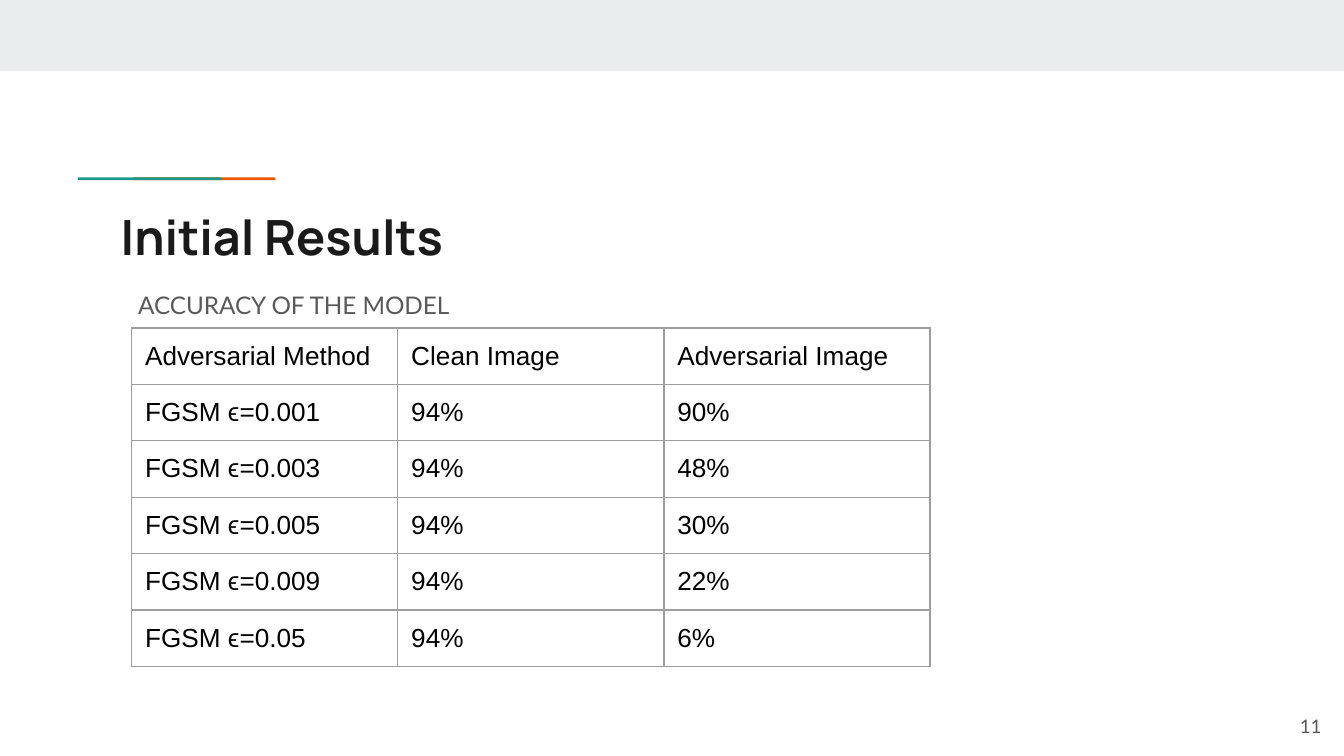
from lxml import etree
from pptx import Presentation
from pptx.dml.color import RGBColor
from pptx.enum import shapes, text
from pptx.oxml import ns
from pptx.util import Inches, Pt

BAND = RGBColor(0xE9, 0xED, 0xEE)
ORANGE = RGBColor(0xEB, 0x56, 0x00)
TEAL = RGBColor(0x1A, 0x99, 0x88)
INK = RGBColor(0x1A, 0x1A, 0x1A)
GREY = RGBColor(0x59, 0x59, 0x59)
BLACK = RGBColor(0x00, 0x00, 0x00)
GRID = RGBColor(0x9E, 0x9E, 0x9E)


class SlideBuilder:
    def __init__(self, slide, inset=0.1):
        self.slide = slide
        self.inset = Inches(inset)

    def bar(self, left, top, width, height, color):
        bar = self.slide.shapes.add_shape(
            shapes.MSO_SHAPE.RECTANGLE,
            Inches(left), Inches(top), Inches(width), Inches(height))
        bar.shadow.inherit = False
        bar.fill.solid()
        bar.fill.fore_color.rgb = color
        bar.line.fill.background()

    def style(self, paragraph, font, size, color, bold=False):
        paragraph.font.name = font
        paragraph.font.size = Pt(size)
        paragraph.font.color.rgb = color
        paragraph.font.bold = bold

    def label(self, words, left, top, width, height, font, size, color,
              bold=False, align=text.PP_ALIGN.LEFT, anchor=text.MSO_ANCHOR.TOP):
        frame = self.slide.shapes.add_textbox(
            Inches(left), Inches(top), Inches(width), Inches(height)).text_frame
        frame.word_wrap = True
        frame.vertical_anchor = anchor
        frame.margin_left = frame.margin_right = self.inset
        frame.margin_top = frame.margin_bottom = self.inset
        paragraph = frame.paragraphs[0]
        paragraph.text = words
        paragraph.alignment = align
        self.style(paragraph, font, size, color, bold)
        return paragraph

    def border(self, cell, color, width):
        properties = cell._tc.get_or_add_tcPr()
        for side in ("lnL", "lnR", "lnT", "lnB"):
            line = etree.SubElement(properties, ns.qn(f"a:{side}"), w=str(Pt(width)))
            fill = etree.SubElement(line, ns.qn("a:solidFill"))
            etree.SubElement(fill, ns.qn("a:srgbClr"), val=str(color))

    def table(self, rows, left, top, column_width, row_height, font, size):
        columns = len(rows[0])
        table = self.slide.shapes.add_table(
            len(rows), columns, Inches(left), Inches(top),
            Inches(column_width * columns), Inches(row_height * len(rows))).table
        table.first_row = table.horz_banding = False
        for row, values in zip(table.rows, rows):
            for cell, value in zip(row.cells, values):
                cell.margin_left = cell.margin_right = cell.margin_top = self.inset
                cell.margin_bottom = Inches(0.08)  # keeps the row at its set height
                cell.text = value
                self.style(cell.text_frame.paragraphs[0], font, size, BLACK)
                self.border(cell, GRID, 0.75)
                cell.fill.background()


def main():
    deck = Presentation()
    deck.slide_width = Inches(10)
    deck.slide_height = deck.slide_width * 9 // 16
    page = SlideBuilder(deck.slides.add_slide(deck.slide_layouts[6]))

    # Top band and two-colour accent rule
    page.bar(0, 0, 10, 0.53, BAND)
    page.bar(0.99, 1.32, 1.06, 0.02, ORANGE)
    page.bar(0.58, 1.32, 1.07, 0.02, TEAL)

    # Title and table caption
    page.label("Initial Results", 0.8, 1.44, 8.41, 0.59, "Manrope", 26, INK, bold=True)
    caption = page.label("ACCURACY OF THE MODEL", 0.93, 2.03, 8.28, 0.41,
                         "Lato", 13, GREY)
    caption.line_spacing = 1.15

    # Accuracy by perturbation strength
    clean = "94%"
    adversarial = {"0.001": "90%", "0.003": "48%", "0.005": "30%",
                   "0.009": "22%", "0.05": "6%"}
    results = [("Adversarial Method", "Clean Image", "Adversarial Image")]
    results += [(f"FGSM ϵ={epsilon}", clean, accuracy)
                for epsilon, accuracy in adversarial.items()]
    page.table(results, 0.98, 2.44, 1.98, 0.42, "Arial", 14)

    # Page number
    page.label("11", 9.33, 5.19, 0.6, 0.43, "Lato", 10, GREY,
               align=text.PP_ALIGN.RIGHT, anchor=text.MSO_ANCHOR.MIDDLE)

    deck.save("out.pptx")


if __name__ == "__main__":
    main()
